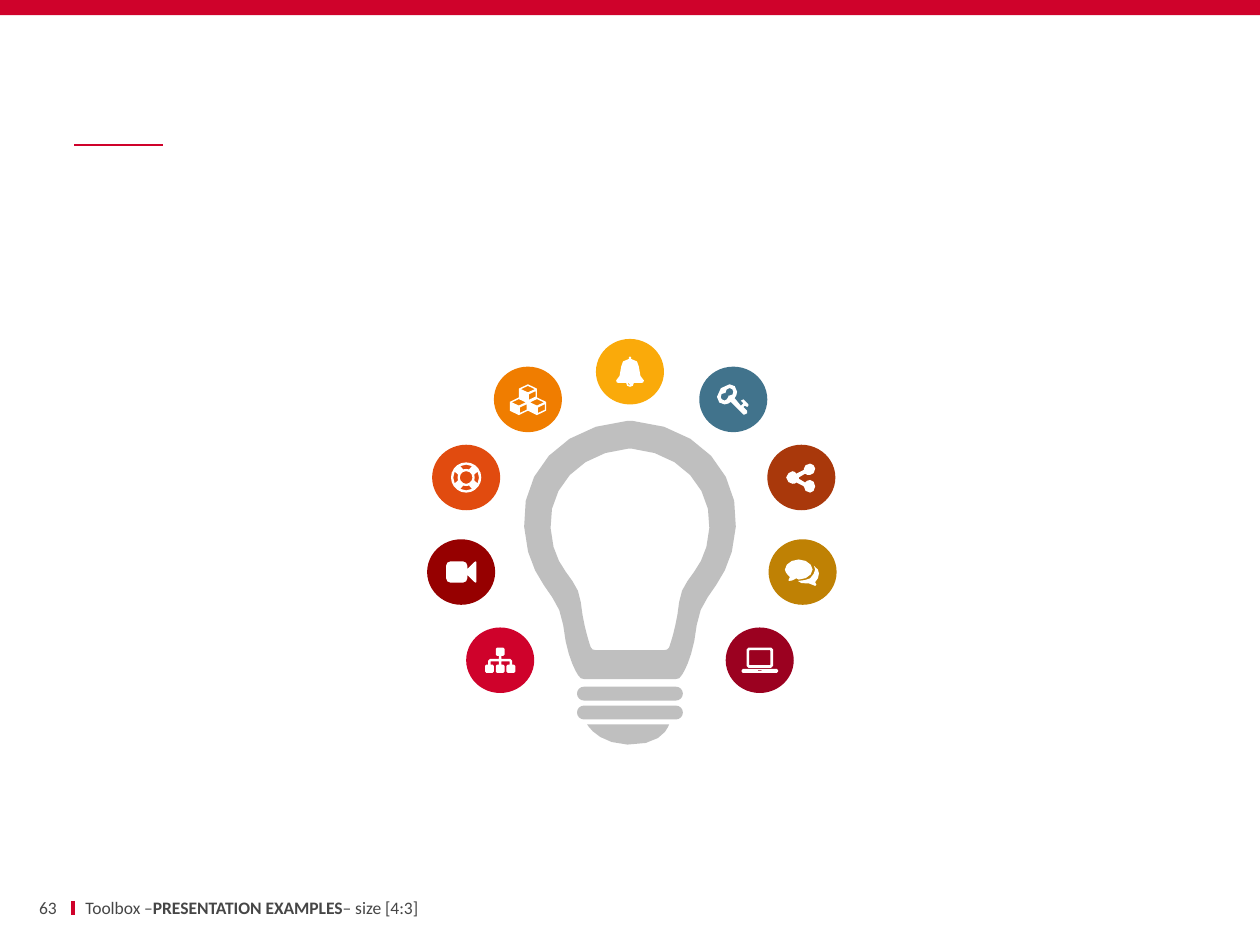
from math import cos, radians, sin

from lxml.etree import SubElement
from pptx import Presentation
from pptx.dml.color import RGBColor
from pptx.enum.shapes import MSO_CONNECTOR, MSO_SHAPE
from pptx.enum.text import MSO_ANCHOR, PP_ALIGN
from pptx.oxml.ns import qn
from pptx.util import Inches, Pt

RED, GREY, WHITE, INK = "CF022B", "BFBFBF", "FFFFFF", "464646"


def color(hex_code):
    return RGBColor.from_string(hex_code)


# Outlines are lists of points in hundredths of an inch around a centre.
def arc(x, y, r, start, end, steps=2):
    angles = [radians(start + (end - start) * i / steps) for i in range(steps + 1)]
    return [(x + r * cos(a), y + r * sin(a)) for a in angles]


def box(left, top, right, bottom, r=0.5, steps=1):
    """Rectangle with softened corners."""
    corners = [(left, top, 1, 1), (right, top, -1, 1),
               (right, bottom, -1, -1), (left, bottom, 1, -1)]
    points = []
    for i, (x, y, dx, dy) in enumerate(corners):
        points += arc(x + dx * r, y + dy * r, r, 180 + 90 * i, 270 + 90 * i, steps)
    return points


def trace(path, steps=2):
    """Read 'x,y' points; C makes a Bezier curve of the three points after it."""
    tokens = iter(path.split())
    points = []
    for token in tokens:
        if token != "C":
            points.append(tuple(float(v) for v in token.split(",")))
            continue
        curve = [points[-1]]
        curve += [tuple(float(v) for v in next(tokens).split(",")) for _ in range(3)]
        for i in range(1, steps + 1):
            t = i / steps
            weights = ((1 - t) ** 3, 3 * t * (1 - t) ** 2, 3 * t * t * (1 - t), t ** 3)
            points.append(tuple(sum(w * p[axis] for w, p in zip(weights, curve))
                                for axis in (0, 1)))
    return points


def mirror(path, steps=2):
    """Complete a left half with its reflection."""
    left = trace(path, steps)
    return left + [(-x, y) for x, y in reversed(left)]


def cube(x, y):
    faces = ["0,-7 7.2,-3.5 7.2,3.5 0,7 -7.2,3.5 -7.2,-3.5",
             "0,-5.7 5.5,-3.1 0,-0.6 -5.5,-3.1",
             "0.8,1 6.2,-1.6 6.2,2.8 0.8,5.3"]
    return [[(x + px, y + py) for px, py in trace(face)] for face in faces]


def ring_slot(angle):
    return arc(0, 0, 10.2, angle - 27, angle + 27) + arc(0, 0, 6.8, angle + 20, angle - 20)


CUBES = cube(0, -5) + cube(-7.2, 5.5) + cube(7.2, 5.5)
ORG_CHART = [box(x - 3.5, y, x + 3.5, y + 6.5, 1)
             for x, y in [(0, -10), (-8.5, 3.5), (0, 3.5), (8.5, 3.5)]]
ORG_CHART.append(mirror("-1,-3.5 -1,-1 -8,-1 -9.5,0.5 -9.5,3.5 "
                        "-7.5,3.5 -7.5,1 -1,1 -1,3.5"))
CAMERA = [box(-12, -8.5, 5, 8.5, 3.7, 2),
          trace("5,-2.5 10,-7.5 11.5,-8.5 12,-8 12,8 11.5,8.5 10,7.5 5,2.5")]
LIFE_RING = [arc(0, 0, 12, 0, 360, 20), arc(0, 0, 5, 0, 360, 12)]
LIFE_RING += [ring_slot(angle) for angle in range(0, 360, 90)]
BELL = [mirror("0,-12 -1,-11.5 -1,-10 C -5,-10 -7,-7 -7,-4 C -7,2 -9,6 -11,7 "
               "-10.5,8.5 -9,9 -3,9 C -3,11 -2,12 0,12"),
        trace("-1.7,9 C -1.7,10 -1,11 0,11 0,10.5 -1.2,9")]
KEY = [trace("11,6 9,5 8,6 11,9 11,11 9,12 8,12 -2,2 C -3,3 -5,4 -7,4 "
             "C -10,4 -13,2 -13,-2 C -13,-7 -8,-12 -3,-12 C 0,-12 3,-10 3,-6 "
             "C 3,-4 2,-2 1,-1 6,5 8,3 6,1 8,0 12,4 12,5"),
       trace("-3,-9 C -5,-9 -6,-7 -6,-6 -6,-5 -7,-5 C -9,-5 -10,-4 -10,-2 "
             "C -10,-1 -9,1 -7,1 C -6,1 -4,-1 -4,-2 -4,-3 -3,-3 "
             "C -1,-3 0,-4 0,-6 C 0,-7 -1,-9 -3,-9")]
SHARE = [trace("11,7 C 11,10 9,12 7,12 C 4,12 2,10 2,7 -4,4 C -4,5 -6,5 -7,5 "
               "C -9,5 -12,3 -12,0 C -12,-2 -9,-5 -7,-5 C -6,-5 -4,-4 -4,-3 2,-6 2,-7 "
               "C 2,-9 4,-11 7,-11 C 9,-11 11,-9 11,-7 C 11,-4 9,-2 7,-2 "
               "C 5,-2 4,-2 3,-3 -2,0 -2,1 3,4 C 4,3 5,2 7,2 C 9,2 11,4 11,7")]
CHAT = [trace("-3,6 -5,5 C -7,6 -8,7 -10,7 -11,7 -11,6 -10,4 "
              "C -12,2 -14,0 -14,-2 C -14,-6 -9,-10 -3,-10 "
              "C 3,-10 8,-6 8,-2 C 8,2 3,6 -3,6", 3),
        trace("10,8 11,10 10,11 5,9 3,9 C 0,9 -2,9 -4,7 -3,7 C 0,7 4,6 6,5 "
              "C 8,3 10,0 10,-2 9,-5 C 12,-3 13,-1 13,1 C 13,4 12,6 10,8")]
LAPTOP = [box(-10.5, -10, 10.5, 6, 1.5), box(-8.5, -8, 8.5, 4),
          box(-14.5, 7, 14.5, 10, 1), trace("-1.5,7.6 1.5,7.6 1.5,8.2 -1.5,8.2")]

BULB_PARTS = [
    [box(-42, 560, 42, 571, 5.5, 4)],
    [box(-42, 545, 42, 556, 5.5, 4)],
    [trace("-34,575 31,575 C 31,575 27,592 -2,591 C -26,590 -34,575 -34,575", 5)],
    [mirror("-2,334 C -56,338 -87,376 -84,418 C -81,464 -56,469 -53,496 "
            "C -50,524 -41,536 -41,536 -39,538.3 -36,539", 6),
     mirror("-1,356 C -41,359 -65,388 -63,419 C -61,454 -41,457 -39,478 "
            "C -37,498 -31,514 -31,514 -29.5,515.5 -27,516", 6)],
]

# Centre x, centre y, disc colour, icon outlines
TOPICS = [
    (4.19, 3.17, "F07D00", CUBES),
    (3.97, 5.24, RED, ORG_CHART),
    (3.66, 4.54, "960000", CAMERA),
    (3.70, 3.79, "E14B0F", LIFE_RING),
    (5.00, 2.95, "FAAA0A", BELL),
    (5.82, 3.17, "41738C", KEY),
    (6.36, 3.79, "A9380B", SHARE),
    (6.37, 4.54, "BF8104", CHAT),
    (6.03, 5.24, "9B0120", LAPTOP),
]


class SlideBuilder:
    font_name = "Calibri"
    font_size = Pt(10)

    def __init__(self, slide):
        self.slide = slide
        self.shapes = slide.shapes

    def paint(self, shape, fill):
        shape.shadow.inherit = False
        shape.fill.solid()
        shape.fill.fore_color.rgb = color(fill)
        shape.line.fill.background()

    def preset(self, kind, left, top, width, height, fill):
        shape = self.shapes.add_shape(kind, *map(Inches, (left, top, width, height)))
        self.paint(shape, fill)

    def line(self, x1, y1, x2, y2, weight):
        rule = self.shapes.add_connector(MSO_CONNECTOR.STRAIGHT,
                                         *map(Inches, (x1, y1, x2, y2)))
        rule.line.color.rgb = color(RED)
        rule.line.width = Pt(weight)
        SubElement(rule._element.spPr, qn("a:effectLst"))

    def outline(self, x, y, contours, fill):
        """Draw all contours as one shape centred on x, y; inner ones are holes."""
        builder = None
        for contour in contours:
            points = [(Inches(x + px / 100), Inches(y + py / 100)) for px, py in contour]
            if builder is None:
                builder = self.shapes.build_freeform(*points[0])
            else:
                builder.move_to(*points[0])
            builder.add_line_segments(points[1:], close=True)
        self.paint(builder.convert_to_shape(), fill)

    def text(self, left, top, width, height, runs, side=0.1, align=PP_ALIGN.LEFT):
        frame = self.shapes.add_textbox(*map(Inches, (left, top, width, height))).text_frame
        settings = {"word_wrap": True, "vertical_anchor": MSO_ANCHOR.MIDDLE,
                    "margin_left": Inches(side), "margin_right": Inches(side),
                    "margin_top": Inches(0.05), "margin_bottom": Inches(0.05)}
        for name, value in settings.items():
            setattr(frame, name, value)
        paragraph = frame.paragraphs[0]
        paragraph.alignment = align
        for words, bold in runs:
            run = paragraph.add_run()
            run.text = words
            style = {"name": self.font_name, "size": self.font_size, "bold": bold}
            for name, value in style.items():
                setattr(run.font, name, value)
            run.font.color.rgb = color(INK)


def main():
    deck = Presentation()
    deck.slide_width, deck.slide_height = Inches(10), Inches(7.5)
    page = SlideBuilder(deck.slides.add_slide(deck.slide_layouts[6]))

    page.line(0.58, 7.15, 0.58, 7.26, 2.25)
    page.line(0.59, 1.15, 1.29, 1.15, 1)
    page.preset(MSO_SHAPE.RECTANGLE, 0, 0, 10, 0.12, RED)
    for part in BULB_PARTS:
        page.outline(5, 0, part, GREY)
    for x, y, fill, _ in TOPICS:
        page.preset(MSO_SHAPE.OVAL, x - 0.27, y - 0.26, 0.54, 0.52, fill)
    for x, y, _, icon in TOPICS:
        page.outline(x, y, icon, WHITE)
    page.text(0.13, 7.11, 0.32, 0.18, [("63", False)], side=0, align=PP_ALIGN.RIGHT)
    page.text(0.58, 7.11, 4.97, 0.18, [("Toolbox –", False),
                                       ("PRESENTATION EXAMPLES", True),
                                       ("– size [4:3]", False)])
    deck.save("out.pptx")


if __name__ == "__main__":
    main()
